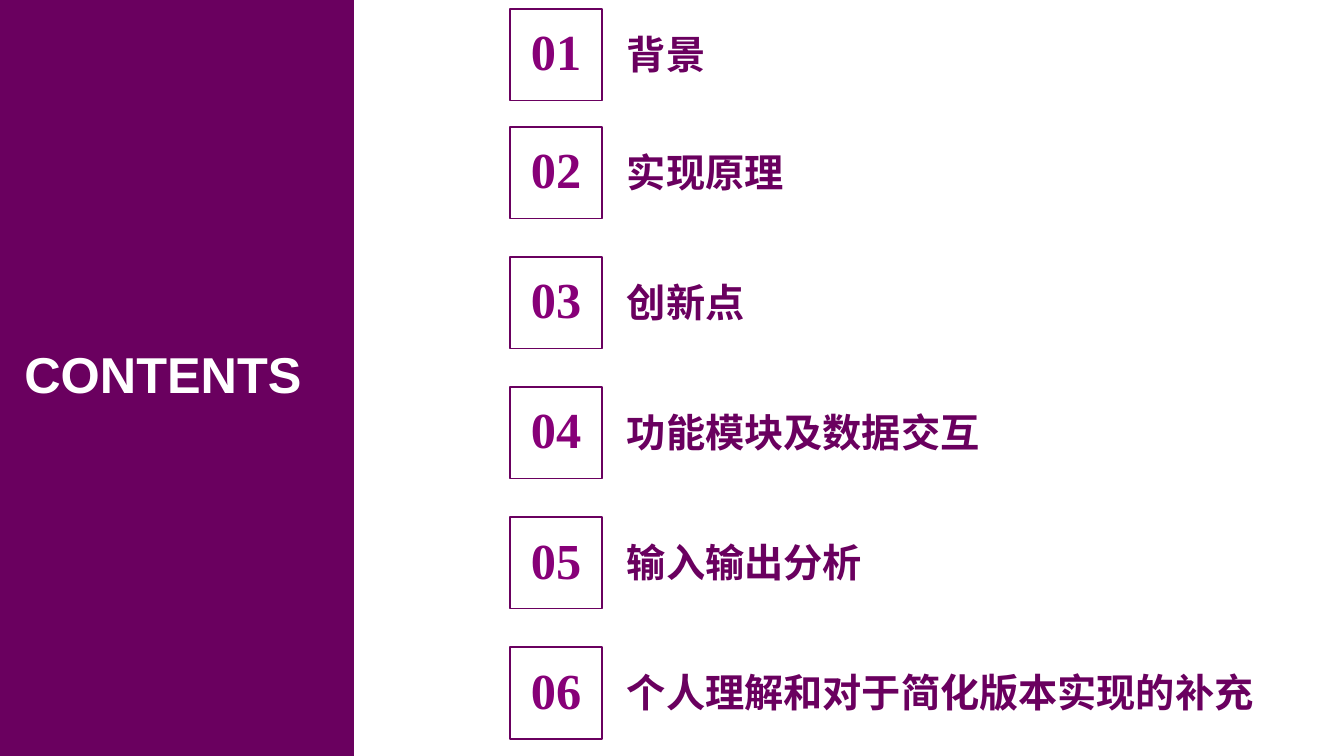
from pptx import Presentation
from pptx.dml.color import RGBColor
from pptx.enum.shapes import MSO_SHAPE as Shape
from pptx.enum.text import MSO_AUTO_SIZE as AutoSize, PP_ALIGN as Align
from pptx.util import Inches, Pt

PURPLE, BRIGHT_PURPLE, WHITE = "6A005F", "870078", "FFFFFF"
TOPICS = [
    ("背景", "Cabin", 7.86),
    ("实现原理", "Cabin", 7.86),
    ("创新点", "Arial", 8.19),
    ("功能模块及数据交互", "Arial", 8.19),
    ("输入输出分析", "Arial", 8.19),
    ("个人理解和对于简化版本实现的补充", "Arial", 8.19),
]
FIRST_TOP, SECOND_TOP, ROW_STEP = 0.09, 1.26, 1.29
BOX_LEFT, BOX_SIZE, TOPIC_LEFT = 5.06, 0.91, 6.12


def color(value):
    return RGBColor.from_string(value)


def write_text(shape, text, size, font, fill, align=Align.LEFT):
    frame = shape.text_frame
    frame.word_wrap = True
    frame.auto_size = AutoSize.SHAPE_TO_FIT_TEXT
    paragraph = frame.paragraphs[0]
    paragraph.alignment = align
    run = paragraph.add_run()
    run.text = text
    run.font.size = Pt(size)
    run.font.name = font
    run.font.bold = True
    run.font.color.rgb = color(fill)


class ContentsSlide:
    def __init__(self, slide):
        self.slide = slide

    def rectangle(self, shapes, bounds, fill=None, line=None):
        shape = shapes.add_shape(Shape.RECTANGLE, *map(Inches, bounds))
        shape.shadow.inherit = False
        if fill:
            shape.fill.solid()
            shape.fill.fore_color.rgb = color(fill)
        else:
            shape.fill.background()
        if line:
            shape.line.color.rgb = color(line)
            shape.line.width = Pt(1)
        else:
            shape.line.fill.background()

    def text(self, shapes, bounds, text, **style):
        write_text(shapes.add_textbox(*map(Inches, bounds)), text, **style)

    def entry(self, number, top, topic, font, width):
        shapes = self.slide.shapes.add_group_shape().shapes
        self.text(shapes, (TOPIC_LEFT, top + 0.165, width, 0.57), topic,
                  size=28, font=font, fill=PURPLE)
        self.text(shapes, (BOX_LEFT, top + 0.065, BOX_SIZE, 0.71), f"{number:02}",
                  size=36, font="Times New Roman", fill=BRIGHT_PURPLE, align=Align.CENTER)
        self.rectangle(shapes, (BOX_LEFT, top, BOX_SIZE, BOX_SIZE), line=PURPLE)


def main():
    presentation = Presentation()
    presentation.slide_width = Inches(13.33)
    presentation.slide_height = Inches(7.5)
    slide = presentation.slides.add_slide(presentation.slide_layouts[6])
    contents = ContentsSlide(slide)

    # Side panel with the heading
    contents.rectangle(slide.shapes, (-0.01, 0, 3.52, 7.5), fill=PURPLE)
    contents.text(slide.shapes, (-0.44, 3.35, 3.53, 0.71), "CONTENTS",
                  size=36, font="Arial", fill=WHITE, align=Align.RIGHT)

    # Numbered topics: the first sits apart, the others are evenly spaced
    for index, (topic, font, width) in enumerate(TOPICS):
        top = SECOND_TOP + (index - 1) * ROW_STEP if index else FIRST_TOP
        contents.entry(index + 1, top, topic, font, width)

    presentation.save("out.pptx")


if __name__ == "__main__":
    main()
